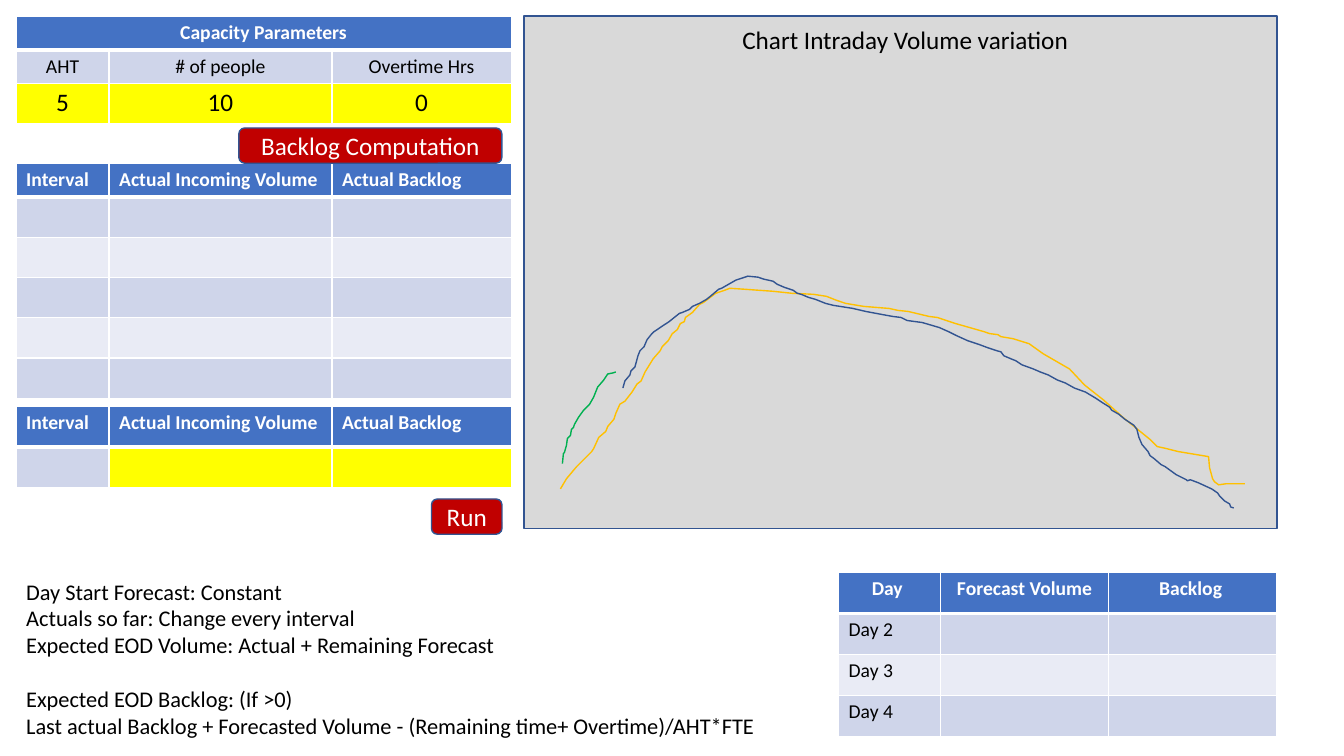
import pptx
import pptx.dml.color
import pptx.enum.shapes
import pptx.enum.text
import pptx.oxml.ns
import pptx.util
from dataclasses import dataclass
from lxml import etree

Pt = pptx.util.Pt
ALIGN = pptx.enum.text.PP_ALIGN
SHAPE = pptx.enum.shapes.MSO_SHAPE
qn = pptx.oxml.ns.qn


@dataclass(frozen=True)
class Theme:
    font: str = "Calibri"
    ink: str = "000000"
    white: str = "FFFFFF"
    header: str = "4472C4"
    bands: tuple = ("CFD5EA", "E9EBF5")
    entry: str = "FFFF00"
    button: str = "C00000"
    panel: str = "D9D9D9"
    outline: str = "325491"
    forecast: str = "FFC000"
    so_far: str = "00B050"
    large: float = 18
    body: float = 16
    small: float = 14


def rgb(code):
    return pptx.dml.color.RGBColor.from_string(code)


def write(paragraph, text, *, font, size, color, bold=False, align=ALIGN.LEFT, before=0):
    paragraph.alignment = align
    paragraph.line_spacing = 1.0
    paragraph.space_before = Pt(before)
    run = paragraph.add_run()
    run.text = text
    run.font.name, run.font.size, run.font.bold = font, Pt(size), bold
    run.font.color.rgb = rgb(color)


class Board:
    """Holds the theme and the slide, and adds each kind of element."""

    def __init__(self, slide, theme):
        self.slide, self.theme = slide, theme

    def style(self, shape, fill, line):
        shape.shadow.inherit = False
        if fill:
            shape.fill.solid()
            shape.fill.fore_color.rgb = rgb(fill)
        else:
            shape.fill.background()
        shape.line.color.rgb = rgb(line)
        shape.line.width = Pt(1)

    def box(self, kind, left, top, width, height, fill):
        shape = self.slide.shapes.add_shape(kind, Pt(left), Pt(top), Pt(width), Pt(height))
        self.style(shape, fill, self.theme.outline)
        return shape

    def button(self, text, left, top, width, height):
        shape = self.box(SHAPE.ROUNDED_RECTANGLE, left, top, width, height, self.theme.button)
        frame = shape.text_frame
        frame.vertical_anchor = pptx.enum.text.MSO_ANCHOR.MIDDLE
        write(frame.paragraphs[0], text, font=self.theme.font, size=self.theme.large,
              color=self.theme.white, align=ALIGN.CENTER)

    def placeholder(self, index, left, top, width, height, lines, *, size, align=ALIGN.LEFT):
        """Lines are pairs of text and space before it."""
        holder = self.slide.placeholders[index]
        holder.left, holder.top, holder.width, holder.height = map(Pt, (left, top, width, height))
        frame = holder.text_frame
        frame.word_wrap = True
        frame.auto_size = pptx.enum.text.MSO_AUTO_SIZE.SHAPE_TO_FIT_TEXT
        frame.vertical_anchor = pptx.enum.text.MSO_ANCHOR.TOP
        for number, (text, before) in enumerate(lines):
            paragraph = frame.add_paragraph() if number else frame.paragraphs[0]
            write(paragraph, text, font=self.theme.font, size=size,
                  color=self.theme.ink, align=align, before=before)
            properties = paragraph._p.get_or_add_pPr()
            properties.set("marL", "0")
            properties.set("indent", "0")
            etree.SubElement(properties, qn("a:buNone"))
        return holder

    def curve(self, points, color):
        """Points are in hundredths of an inch, 0.72 pt each."""
        builder = self.slide.shapes.build_freeform(*points[0], scale=Pt(0.72))
        builder.add_line_segments(points[1:], close=False)
        self.style(builder.convert_to_shape(), None, color)

    def border(self, cell, side, width):
        line = etree.SubElement(cell._tc.get_or_add_tcPr(), qn("a:ln" + side), w=str(Pt(width)))
        fill = etree.SubElement(line, qn("a:solidFill"))
        etree.SubElement(fill, qn("a:srgbClr"), val=self.theme.white)

    def table(self, left, top, widths, heights, rows, *, align=ALIGN.LEFT,
              header_align=ALIGN.LEFT, entries=(), merged=False):
        """Entries are the (row, column) places filled as input cells."""
        theme = self.theme
        grid = self.slide.shapes.add_table(len(rows), len(widths), Pt(left), Pt(top),
                                           Pt(sum(widths)), Pt(sum(heights))).table
        for column, width in zip(grid.columns, widths):
            column.width = Pt(width)
        for r, (height, texts) in enumerate(zip(heights, rows)):
            grid.rows[r].height = Pt(height)
            for c, text in enumerate(texts):
                cell = grid.cell(r, c)
                cell.margin_top = cell.margin_bottom = Pt(3.4)
                for side in "LRTB":
                    under_header = (r, side) in ((0, "B"), (1, "T"))
                    self.border(cell, side, 3 if under_header else 1)
                entry = (r, c) in entries
                band = theme.bands[(r - 1) % 2] if r else theme.header
                cell.fill.solid()
                cell.fill.fore_color.rgb = rgb(theme.entry if entry else band)
                if text:
                    write(cell.text_frame.paragraphs[0], text, font=theme.font,
                          size=theme.large if entry else theme.small,
                          color=theme.ink if r else theme.white, bold=r == 0,
                          align=align if r else header_align)
        if merged:
            grid.cell(0, 0).merge(grid.cell(0, len(widths) - 1))


FORECAST = [
    (556, 485), (562, 475), (572, 463), (587, 448), (589, 445), (594, 434), (601, 428),
    (603, 423), (609, 416), (611, 410), (615, 401), (620, 398), (627, 389), (632, 381),
    (636, 378), (640, 369), (648, 356), (655, 348), (657, 344), (663, 338), (667, 331),
    (672, 327), (675, 321), (679, 319), (680, 315), (687, 310), (694, 302), (698, 300),
    (710, 291), (719, 288), (724, 286), (739, 287), (767, 289), (786, 291), (807, 292),
    (820, 294), (830, 298), (839, 301), (857, 304), (882, 306), (891, 308), (901, 309),
    (922, 314), (930, 315), (948, 321), (962, 325), (976, 329), (982, 331), (990, 332),
    (993, 334), (1005, 336), (1021, 341), (1035, 351), (1061, 366), (1076, 382),
    (1095, 397), (1114, 414), (1136, 432), (1141, 436), (1148, 443), (1157, 445),
    (1169, 448), (1199, 453), (1200, 464), (1203, 475), (1205, 478), (1209, 481),
    (1216, 479.5), (1235, 480),
]
SO_FAR = [
    (558, 460), (559, 450), (560, 449), (562, 442), (563, 435), (566, 432), (567, 426),
    (569, 424), (570, 421), (574, 414), (579, 407), (585, 401), (589, 394), (593, 384),
    (599, 377), (601, 374), (603, 371), (608, 370), (611, 369),
]
ACTUAL = [
    (618, 385), (620, 378), (625, 372), (626, 368), (630, 364), (633, 353), (635, 348),
    (639, 344), (642, 337), (646, 332), (649, 329), (658, 323), (664, 319), (674, 311),
    (677, 310), (684, 307), (687, 304), (694, 301), (701, 297), (706, 293), (713, 287),
    (716, 286), (730, 278), (739, 275), (742, 274), (752, 275), (758, 277), (767, 279),
    (771, 282), (778, 285), (787, 288), (791, 291), (795, 292), (802, 295), (809, 297),
    (819, 301), (827, 303), (846, 306), (859, 309), (875, 312), (886, 314), (894, 315),
    (900, 318), (915, 320), (932, 325), (941, 329), (949, 333), (960, 338), (972, 342),
    (980, 345), (989, 348), (993, 349), (996, 353), (1003, 356), (1008, 358),
    (1014, 362), (1025, 366), (1032, 369), (1040, 372), (1049, 377), (1057, 380),
    (1066, 385), (1077, 389), (1087, 395), (1093, 399), (1101, 404), (1103, 407),
    (1110, 411), (1116, 416), (1125, 422), (1128, 426), (1130, 434), (1133, 441),
    (1139, 448), (1141, 452), (1145, 455), (1152, 461), (1156, 463), (1167, 471),
    (1177, 476), (1178, 477), (1181, 476), (1189, 479), (1202, 485), (1208, 489),
    (1210, 492), (1215, 497), (1220, 500), (1221, 503), (1224, 504),
]


def main():
    theme = Theme()
    deck = pptx.Presentation()
    deck.slide_width, deck.slide_height = Pt(960), Pt(540)
    board = Board(deck.slides.add_slide(deck.slide_layouts[1]), theme)
    left = 11.5

    # Chart panel, behind its title
    heading = board.placeholder(0, 380.9, 13.7, 531.4, 28.8,
                                [("Chart Intraday Volume variation", 0)],
                                size=theme.large, align=ALIGN.CENTER)
    panel = board.box(SHAPE.RECTANGLE, 374.4, 11.5, 537.8, 365.8, theme.panel)
    heading.element.addprevious(panel.element)
    for points, color in ((FORECAST, theme.forecast), (SO_FAR, theme.so_far),
                          (ACTUAL, theme.outline)):
        board.curve(points, color)

    # Definitions
    board.placeholder(1, left, 409, 537.8, 123.8, [
        ("Day Start Forecast: Constant", 0),
        ("Actuals so far: Change every interval", 0),
        ("Expected EOD Volume: Actual + Remaining Forecast", 0),
        ("Expected EOD Backlog: (If >0)", 19.5),
        ("Last actual Backlog + Forecasted Volume - (Remaining time+ Overtime)/AHT*FTE", 0),
    ], size=theme.body)

    # Capacity and interval tables
    widths = (66.4, 159.2, 128)
    intervals = ("Interval", "Actual Incoming Volume", "Actual Backlog")
    empty = ("",) * 3
    board.table(left, 290.2, widths, [29.2] * 2, [intervals, empty], entries=((1, 1), (1, 2)))
    board.table(left, 116.6, widths, [24] + [28.8] * 5, [intervals] + [empty] * 5)
    board.table(left, 11.5, widths, [24, 24, 28.8],
                [("Capacity Parameters", "", ""), ("AHT", "# of people", "Overtime Hrs"),
                 ("5", "10", "0")],
                align=ALIGN.CENTER, header_align=ALIGN.CENTER,
                entries=[(2, c) for c in range(3)], merged=True)

    # Daily forecast table
    board.table(599, 409, (72.8, 120.2, 120.2), [29.2] * 4,
                [("Day ", "Forecast Volume", "Backlog ")]
                + [(f"Day {day}", "", "") for day in (2, 3, 4)], header_align=ALIGN.CENTER)

    # Buttons
    board.button("Run", 308.2, 356.4, 50.4, 25.2)
    board.button("Backlog Computation", 170.6, 91.4, 187.9, 25.2)

    deck.save("out.pptx")


if __name__ == "__main__":
    main()
